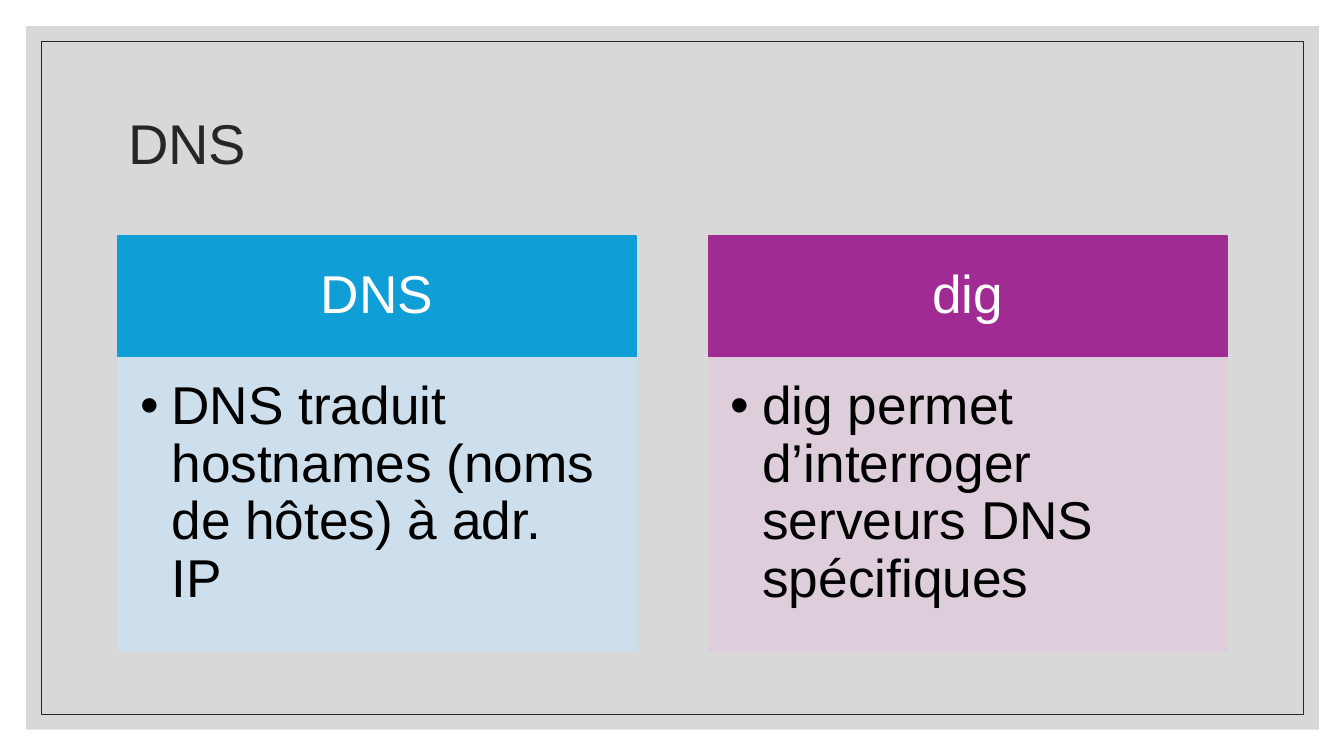
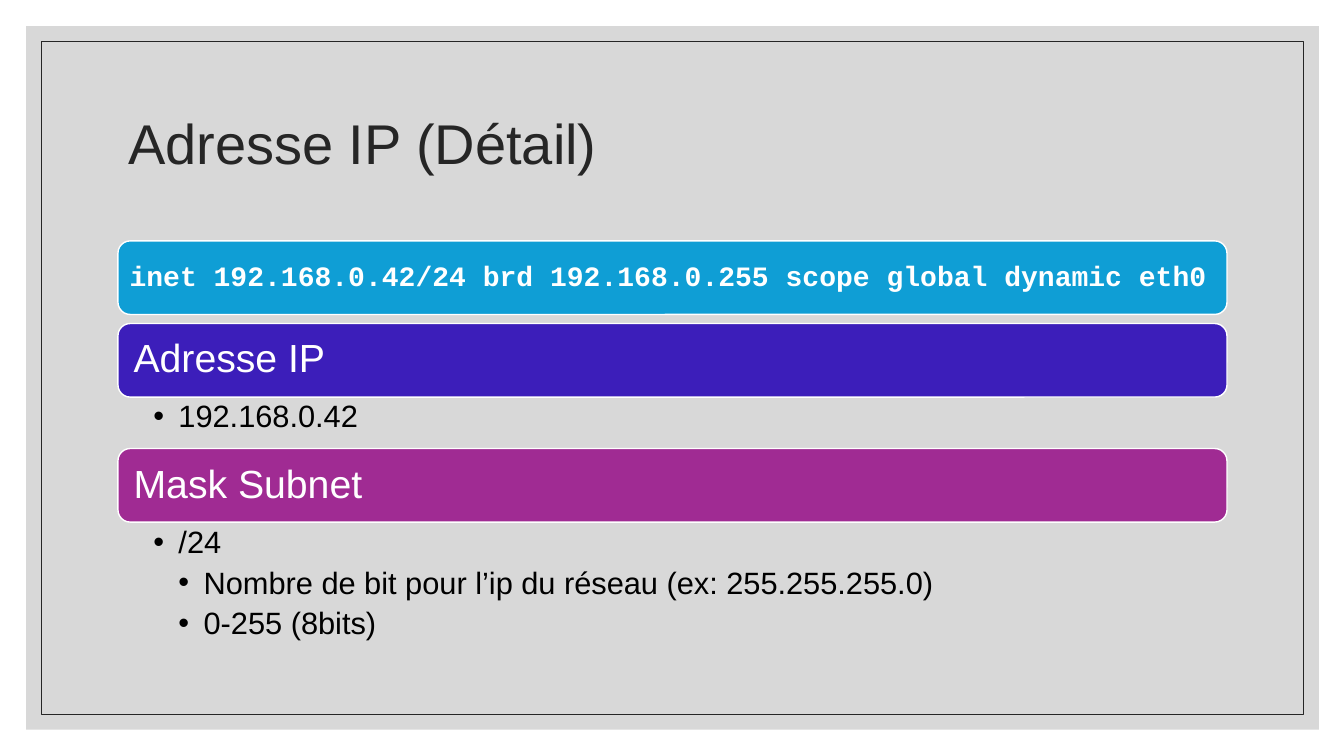
from typing import NamedTuple

from lxml.etree import SubElement
from pptx import Presentation
from pptx.dml.color import RGBColor
from pptx.enum.shapes import MSO_SHAPE as Preset
from pptx.enum.text import MSO_ANCHOR as Anchor, MSO_AUTO_SIZE as AutoSize, PP_ALIGN as Align
from pptx.oxml.ns import qn
from pptx.util import Emu, Pt

PX = 9144  # one px is a hundredth of an inch
COLORS = {
    "frame": "BFBFBF", "ink": "262626", "black": "000000", "white": "FFFFFF",
    "blue": "0F9ED5", "indigo": "3C1EBA", "purple": "A02B93",
    "pale_blue": "CCDFEF", "pale_purple": "DFCDDC",
}
SANS, MONO = "Arial", "Courier New"
LEFT, WIDTH = 117, 1100  # content area


class Box(NamedTuple):
    left: int
    top: int
    width: int
    height: int


class TextStyle(NamedTuple):
    size: int
    color: str
    font: str = SANS
    bold: bool = False
    align: Align = Align.LEFT


class ListStyle(NamedTuple):
    text: TextStyle
    insets: tuple[int, int, int, int]
    indent: int  # room for one bullet
    step: int  # extra indent per level
    gap: int = 0  # points between items


class Card(NamedTuple):
    heading: str
    item: str
    color: str
    tint: str


class Bar(NamedTuple):
    text: str
    top: int
    color: str
    style: TextStyle
    inset: int


class Item(NamedTuple):
    text: str
    level: int = 0


TITLE = TextStyle(40, "ink")
CARD_HEADING = TextStyle(38, "white", align=Align.CENTER)
CARD_LIST = ListStyle(TextStyle(38, "black"), (22, 22, 30, 33), 31, 0)
BAR_HEADING = TextStyle(28, "white")
BAR_CODE = TextStyle(20, "white", MONO, True)
DETAIL_LIST = ListStyle(TextStyle(22, "black"), (35, 4, 22, 4), 25, 25, 5)


def rgb(name: str) -> RGBColor:
    return RGBColor.from_string(COLORS[name])


def place(shape, box: Box) -> None:
    shape.left, shape.top, shape.width, shape.height = (Emu(n * PX) for n in box)


def paint(shape, fill: str | None, line: str | None, weight: float = 1, opacity: int = 100) -> None:
    """Set fill and line; opacity in percent applies to both."""
    if fill:
        shape.fill.solid()
        shape.fill.fore_color.rgb = rgb(fill)
    else:
        shape.fill.background()
    if line:
        shape.line.color.rgb = rgb(line)
        shape.line.width = Pt(weight)
    else:
        shape.line.fill.background()
    if opacity < 100:
        for color in shape.element.spPr.iter(qn("a:srgbClr")):
            SubElement(color, qn("a:alpha"), val=str(opacity * 1000))


def add_panel(slide, preset: Preset, box: Box, fill: str | None, line: str | None,
              weight: float = 1, opacity: int = 100):
    panel = slide.shapes.add_shape(preset, *(Emu(n * PX) for n in box))
    panel.shadow.inherit = False
    paint(panel, fill, line, weight, opacity)
    return panel


def set_frame(shape, insets: tuple[int, int, int, int], anchor: Anchor):
    frame = shape.text_frame
    frame.word_wrap, frame.auto_size, frame.vertical_anchor = True, AutoSize.NONE, anchor
    frame.margin_left, frame.margin_top, frame.margin_right, frame.margin_bottom = (
        Emu(n * PX) for n in insets)
    return frame


def format_paragraph(paragraph, style: TextStyle, before: int = 0) -> None:
    paragraph.alignment = style.align
    paragraph.line_spacing = 0.9
    paragraph.space_before, paragraph.space_after = Pt(before), Pt(0)
    font = paragraph.font
    font.name, font.size, font.bold = style.font, Pt(style.size), style.bold
    font.color.rgb = rgb(style.color)


def write_line(shape, text: str, style: TextStyle, insets: tuple[int, int, int, int]) -> None:
    frame = set_frame(shape, insets, Anchor.MIDDLE)
    frame.text = text
    format_paragraph(frame.paragraphs[0], style)


def write_list(body, box: Box, items: list[Item], style: ListStyle) -> None:
    place(body, box)
    frame = set_frame(body, style.insets, Anchor.TOP)
    frame.text = "\n".join(item.text for item in items)
    for number, (paragraph, item) in enumerate(zip(frame.paragraphs, items)):
        paragraph.level = item.level
        props = paragraph._p.get_or_add_pPr()
        props.set("marL", str((style.indent + item.level * style.step) * PX))
        props.set("indent", str(-style.indent * PX))
        SubElement(props, qn("a:buChar"), char="•")
        format_paragraph(paragraph, style.text, style.gap if number else 0)


def add_titled_slide(deck, layout, title: str):
    slide = deck.slides.add_slide(layout)
    place(slide.shapes.title, Box(LEFT, 70, WIDTH, 150))
    write_line(slide.shapes.title, title, TITLE, (10, 5, 10, 5))
    return slide


def move_frame_to_layout(slide, layout) -> None:
    """Draw the shared grey field and its thin border, then hand them to the layout."""
    field = add_panel(slide, Preset.RECTANGLE, Box(26, 26, 1282, 698), "frame", None, opacity=60)
    border = add_panel(slide, Preset.RECTANGLE, Box(41, 41, 1252, 668), None, "ink", 0.5)
    for position, panel in enumerate((field, border), start=2):
        layout.shapes.element.insert(position, panel.element) if hasattr(layout.shapes, "element") \
            else layout.element.cSld.spTree.insert(position, panel.element)


def add_card(slide, body, left: int, card: Card) -> None:
    width, top, head, content = 514, 234, 120, 292
    heading = add_panel(slide, Preset.RECTANGLE, Box(left, top, width, head), card.color, card.color)
    write_line(heading, card.heading, CARD_HEADING, (30, 17, 30, 17))
    write_list(body, Box(left, top + head, width, content), [Item(card.item)], CARD_LIST)
    paint(body, card.tint, card.tint, opacity=90)


def add_bar(slide, bar: Bar) -> None:
    panel = add_panel(slide, Preset.ROUNDED_RECTANGLE, Box(LEFT, bar.top, WIDTH, 73),
                      bar.color, "white")
    write_line(panel, bar.text, bar.style, (bar.inset,) * 4)


def build_dns(deck, layout) -> None:
    slide = add_titled_slide(deck, layout, "DNS")
    move_frame_to_layout(slide, layout)
    cards = [
        Card("DNS", "DNS traduit hostnames (noms de hôtes) à adr. IP", "blue", "pale_blue"),
        Card("dig", "dig permet d’interroger serveurs DNS spécifiques", "purple", "pale_purple"),
    ]
    for column, card in enumerate(cards):
        add_card(slide, slide.placeholders[column + 1], LEFT + column * 586, card)


def build_ip_address(deck, layout) -> None:
    slide = add_titled_slide(deck, layout, "Adresse IP (Détail)")
    bars = [
        Bar("inet 192.168.0.42/24 brd 192.168.0.255 scope global dynamic eth0",
            239, "blue", BAR_CODE, 8),
        Bar("Adresse IP", 321, "indigo", BAR_HEADING, 12),
        Bar("Mask Subnet", 445, "purple", BAR_HEADING, 12),
    ]
    for bar in bars:
        add_bar(slide, bar)
    write_list(slide.placeholders[1], Box(LEFT, 394, WIDTH, 51),
               [Item("192.168.0.42")], DETAIL_LIST)
    write_list(slide.placeholders[2], Box(LEFT, 519, WIDTH, 124), [
        Item("/24"),
        Item("Nombre de bit pour l’ip du réseau (ex: 255.255.255.0)", 1),
        Item("0-255 (8bits)", 1),
    ], DETAIL_LIST)


def main() -> None:
    deck = Presentation()
    deck.slide_width, deck.slide_height = Emu(1333 * PX), Emu(750 * PX)
    two_content = deck.slide_layouts[3]
    build_dns(deck, two_content)
    build_ip_address(deck, two_content)
    deck.save("out.pptx")


if __name__ == "__main__":
    main()
